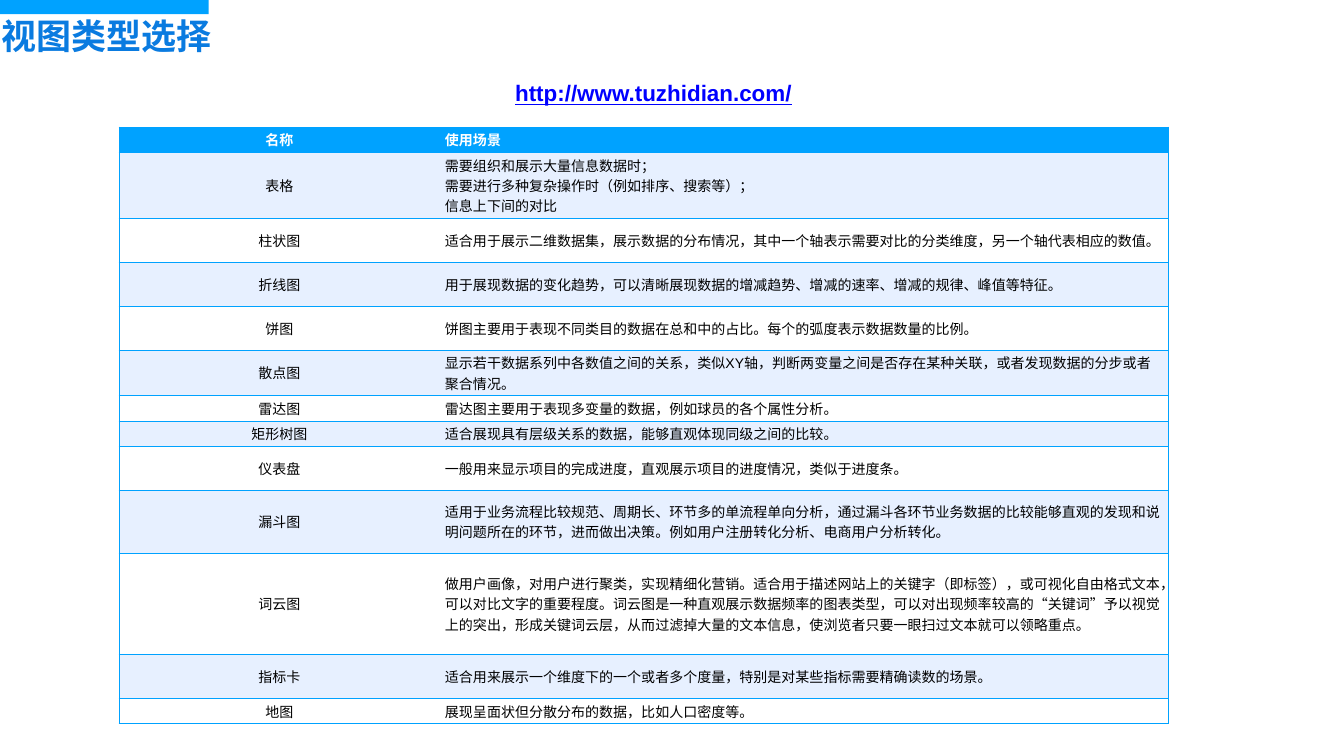
from lxml.etree import SubElement
from pptx import Presentation
from pptx.dml.color import RGBColor
from pptx.enum.shapes import MSO_SHAPE
from pptx.enum.text import MSO_ANCHOR, PP_ALIGN
from pptx.oxml.ns import qn
from pptx.util import Inches, Pt

FONT = "Arial"
COLORS = {
    "accent": "00A2FF", "title": "0A7BE0", "link": "0000FF",
    "band": "E7F0FF", "white": "FFFFFF", "text": "000000",
}
SLIDE_WIDTH, SLIDE_HEIGHT = 26.67, 15
TITLE = "视图类型选择"
ADDRESS = "http://www.tuzhidian.com/"
TABLE_LEFT, TABLE_TOP = 2.36, 2.52
COLUMN_WIDTHS = (6.37, 14.46)
SHORT, MEDIUM, TALL, TALLEST = 0.49, 0.87, 1.25, 2.01

# Row height, chart name, usage paragraphs
ROWS = [
    (SHORT, "名称", ["使用场景"]),
    (TALL, "表格", [
        "需要组织和展示大量信息数据时；",
        "需要进行多种复杂操作时（例如排序、搜索等）；",
        "信息上下间的对比",
    ]),
    (MEDIUM, "柱状图", ["适合用于展示二维数据集，展示数据的分布情况，其中一个轴表示需要对比的分类维度，另一个轴代表相应的数值。"]),
    (MEDIUM, "折线图", ["用于展现数据的变化趋势，可以清晰展现数据的增减趋势、增减的速率、增减的规律、峰值等特征。"]),
    (MEDIUM, "饼图", ["饼图主要用于表现不同类目的数据在总和中的占比。每个的弧度表示数据数量的比例。"]),
    (MEDIUM, "散点图", ["显示若干数据系列中各数值之间的关系，类似XY轴，判断两变量之间是否存在某种关联，或者发现数据的分步或者聚合情况。"]),
    (SHORT, "雷达图", ["雷达图主要用于表现多变量的数据，例如球员的各个属性分析。"]),
    (SHORT, "矩形树图", ["适合展现具有层级关系的数据，能够直观体现同级之间的比较。"]),
    (MEDIUM, "仪表盘", ["一般用来显示项目的完成进度，直观展示项目的进度情况，类似于进度条。"]),
    (TALL, "漏斗图", [
        "适用于业务流程比较规范、周期长、环节多的单流程单向分析，通过漏斗各环节业务数据的比较能够直观的发现和"
        "说明问题所在的环节，进而做出决策。例如用户注册转化分析、电商用户分析转化。",
    ]),
    (TALLEST, "词云图", [
        "做用户画像，对用户进行聚类，实现精细化营销。适合用于描述网站上的关键字（即标签），或可视化自由格式文本，"
        "可以对比文字的重要程度。词云图是一种直观展示数据频率的图表类型，可以对出现频率较高的“关键词”予以视觉上的突出，"
        "形成关键词云层，从而过滤掉大量的文本信息，使浏览者只要一眼扫过文本就可以领略重点。",
    ]),
    (MEDIUM, "指标卡", ["适合用来展示一个维度下的一个或者多个度量，特别是对某些指标需要精确读数的场景。"]),
    (SHORT, "地图", ["展现呈面状但分散分布的数据，比如人口密度等。"]),
]


def color(name):
    return RGBColor.from_string(COLORS[name])


def write(text_frame, lines, size, color_name, bold, align):
    text_frame.text = "\n".join(lines)
    for paragraph in text_frame.paragraphs:
        paragraph.alignment = align
        font = paragraph.font
        font.name, font.size, font.bold = FONT, Pt(size), bold
        font.color.rgb = color(color_name)


def add_text(slide, text, box, size, color_name, align, anchor, margin):
    text_frame = slide.shapes.add_textbox(*map(Inches, box)).text_frame
    text_frame.word_wrap = True
    text_frame.vertical_anchor = anchor
    text_frame.margin_left = text_frame.margin_right = Inches(margin)
    text_frame.margin_top = text_frame.margin_bottom = Inches(margin)
    write(text_frame, [text], size, color_name, True, align)
    return text_frame.paragraphs[0]


def set_borders(cell, open_side):
    """Draw every edge of the cell except the open side."""
    properties = cell._tc.get_or_add_tcPr()
    for side in ("L", "R", "T", "B"):
        line = SubElement(properties, qn(f"a:ln{side}"), w=str(Pt(1)))
        if side == open_side:
            SubElement(line, qn("a:noFill"))
        else:
            fill = SubElement(line, qn("a:solidFill"))
            SubElement(fill, qn("a:srgbClr"), val=COLORS["accent"])


def add_usage_table(slide):
    heights = [row[0] for row in ROWS]
    box = (TABLE_LEFT, TABLE_TOP, sum(COLUMN_WIDTHS), sum(heights))
    table = slide.shapes.add_table(len(ROWS), len(COLUMN_WIDTHS), *map(Inches, box)).table
    for column, width in zip(table.columns, COLUMN_WIDTHS):
        column.width = Inches(width)
    for index, (height, name, usage) in enumerate(ROWS):
        table.rows[index].height = Inches(height)
        header = index == 0
        fill_name = "accent" if header else "band" if index % 2 else "white"
        columns = (([name], PP_ALIGN.CENTER, "R"), (usage, PP_ALIGN.LEFT, "L"))
        for cell, (lines, align, open_side) in zip(table.rows[index].cells, columns):
            write(cell.text_frame, lines, 20, "white" if header else "text", header, align)
            cell.vertical_anchor = MSO_ANCHOR.MIDDLE
            set_borders(cell, open_side)
            cell.fill.solid()
            cell.fill.fore_color.rgb = color(fill_name)


def main():
    presentation = Presentation()
    presentation.slide_width = Inches(SLIDE_WIDTH)
    presentation.slide_height = Inches(SLIDE_HEIGHT)
    slide = presentation.slides.add_slide(presentation.slide_layouts[6])

    add_usage_table(slide)
    address = add_text(slide, ADDRESS, (8.12, 1.5, 9.7, 0.69), 32, "link",
                       PP_ALIGN.CENTER, MSO_ANCHOR.MIDDLE, 0.08)
    address.font.underline = True

    title_bar = slide.shapes.add_shape(
        MSO_SHAPE.RECTANGLE, *map(Inches, (-0.02, -0.01, 4.16, 0.29)))
    title_bar.shadow.inherit = False
    title_bar.fill.solid()
    title_bar.fill.fore_color.rgb = color("accent")
    title_bar.line.fill.background()
    add_text(slide, TITLE, (0.02, 0.28, 11.71, 1.05), 50, "title",
             PP_ALIGN.LEFT, MSO_ANCHOR.TOP, 0)

    presentation.save("out.pptx")


if __name__ == "__main__":
    main()
